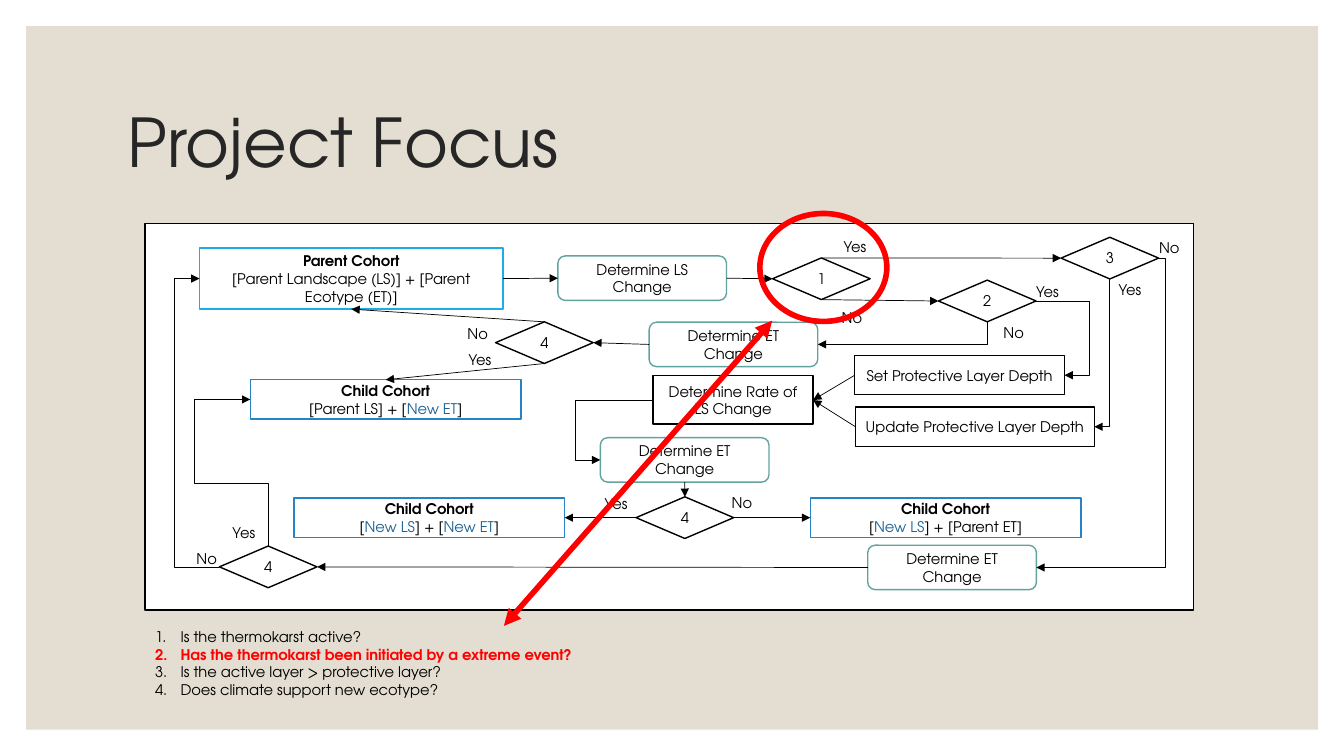
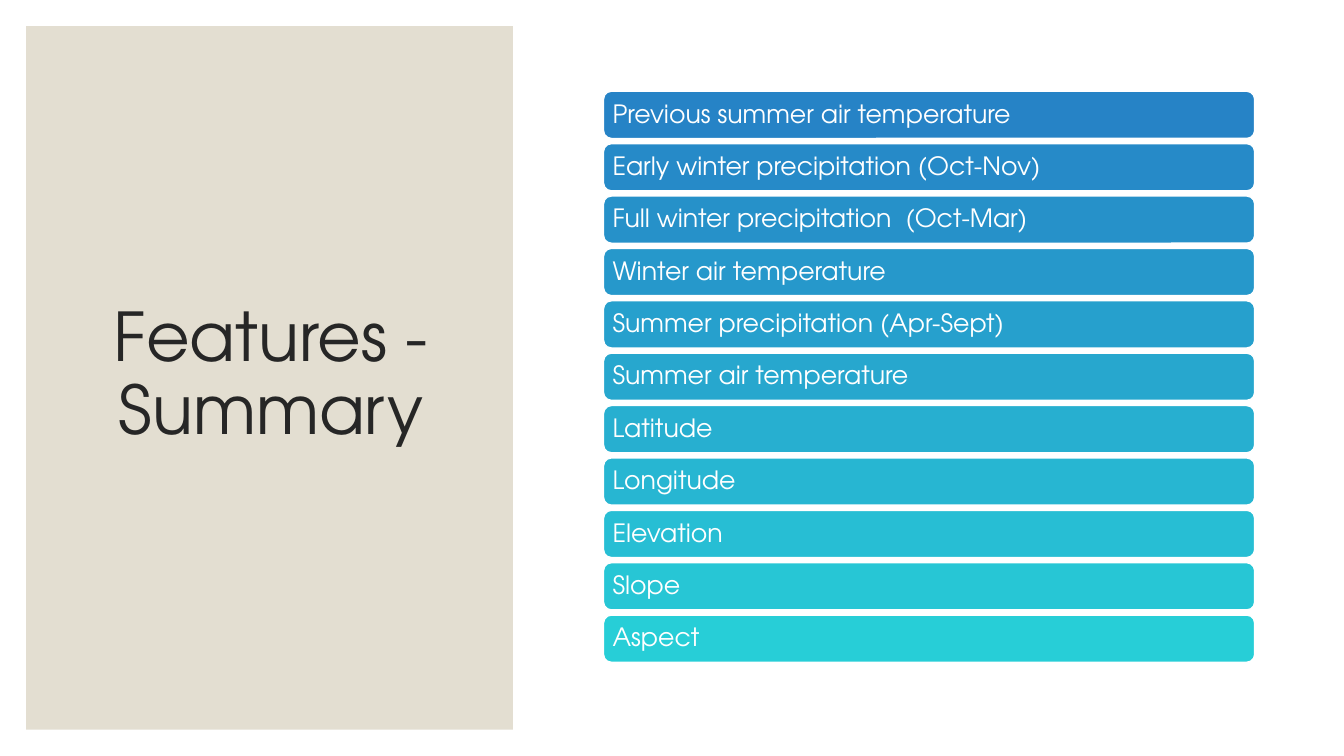
"""Build the project focus flowchart slide and the feature summary slide."""
from lxml.etree import SubElement
from pptx import Presentation
from pptx.dml.color import RGBColor
from pptx.enum.shapes import MSO_CONNECTOR as Link, MSO_SHAPE as Shape
from pptx.enum.text import MSO_ANCHOR as Anchor, PP_ALIGN as Align
from pptx.oxml.ns import qn
from pptx.util import Cm, Pt

FONT = "TeX Gyre Adventor"
BLACK, WHITE, RED = "000000", "FFFFFF", "FF0000"
SAND, TITLE, TEAL = "E3DED1", "262626", "62A39F"
SKY, BLUE, NEW = "1CADE4", "2683C6", "1D6294"
rgb = RGBColor.from_string


def add_box(page, kind, at, paragraphs=(), fill=None, line=None, weight=1, size=10.5,
            align=Align.CENTER, anchor=Anchor.MIDDLE, spacing=None):
    """Add a shape, or a text box when kind is None, with text given as runs."""
    place = [Cm(value) for value in at]
    if kind is None:
        box = page.shapes.add_textbox(*place)
    else:
        box = page.shapes.add_shape(kind, *place)
        box.shadow.inherit = False
        if fill:
            box.fill.solid()
            box.fill.fore_color.rgb = rgb(fill)
        else:
            box.fill.background()
        if line:
            box.line.color.rgb = rgb(line)
            box.line.width = Pt(weight)
        else:
            box.line.fill.background()
    frame = box.text_frame
    frame.word_wrap = True
    frame.vertical_anchor = anchor
    for index, spans in enumerate(paragraphs):
        para = frame.add_paragraph() if index else frame.paragraphs[0]
        para.alignment = align
        if spacing:
            para.line_spacing = spacing
        for text, color, bold in spans:
            span = para.add_run()
            span.text = text
            span.font.name = FONT
            span.font.size = Pt(size)
            span.font.bold = bold
            span.font.color.rgb = rgb(color)
    return box


def style_arrow(arrow, color, weight, ends):
    """Set the line, the arrowheads and the empty effect list of a connector."""
    arrow.line.color.rgb = rgb(color)
    arrow.line.width = Pt(weight)
    for end in ends:
        SubElement(arrow.line._get_or_add_ln(), qn(f"a:{end}"), type="triangle")
    SubElement(arrow._element.spPr, qn("a:effectLst"))


deck = Presentation()
deck.slide_width, deck.slide_height = Cm(33.87), Cm(19.05)
pages = []
for title, panel_width, place, align in [
    ("Project Focus", 32.56, (2.97, 1.78, 27.94, 3.81), Align.LEFT),
    ("Features - Summary", 12.27, (1.6, 1.55, 10.46, 15.85), Align.CENTER),
]:
    page = deck.slides.add_slide(deck.slide_layouts[6])
    add_box(page, Shape.RECTANGLE, (0.66, 0.66, panel_width, 17.73), fill=SAND)
    add_box(page, None, place, [[(title, TITLE, False)]], size=48, align=align, spacing=0.9)
    pages.append(page)
focus, features = pages

add_box(focus, Shape.RECTANGLE, (3.66, 5.64, 26.42, 9.73), fill=WHITE, line=BLACK)
nodes = {}
for name, heading, place, color, spans in [
    ("parent", "Parent Cohort", (5.03, 6.25, 7.65, 1.54), SKY,
     [("[Parent Landscape (LS)] + [Parent Ecotype (ET)]", BLACK)]),
    ("child new ET", "Child Cohort", (6.31, 9.57, 6.82, 0.99), BLUE,
     [("[Parent LS] + [", BLACK), ("New ET", NEW), ("]", BLACK)]),
    ("child new LS", "Child Cohort", (20.42, 12.55, 6.82, 0.99), BLUE,
     [("[", BLACK), ("New LS", NEW), ("] + [Parent ET]", BLACK)]),
    ("child new both", "Child Cohort", (7.41, 12.55, 6.82, 0.99), BLUE,
     [("[", BLACK), ("New LS", NEW), ("] + [", BLACK), ("New ET", NEW), ("]", BLACK)]),
]:
    paragraphs = [[(heading, BLACK, True)], [(text, tint, False) for text, tint in spans]]
    nodes[name] = add_box(focus, Shape.RECTANGLE, place, paragraphs, WHITE, color)

step, action, decision = (4.25, 1.12), (5.29, 0.99), (2.46, 1.05)
for name, text, kind, corner, extent, color in [
    ("LS change", "Determine LS Change", Shape.ROUNDED_RECTANGLE, (14.06, 6.45), step, TEAL),
    ("ET upper", "Determine ET Change", Shape.ROUNDED_RECTANGLE, (16.36, 8.12), step, TEAL),
    ("ET middle", "Determine ET Change", Shape.ROUNDED_RECTANGLE, (15.13, 11.03), step, TEAL),
    ("ET lower", "Determine ET Change", Shape.ROUNDED_RECTANGLE, (21.87, 13.74), step, TEAL),
    ("set depth", "Set Protective Layer Depth", Shape.RECTANGLE, (21.54, 8.96), action, BLACK),
    ("update depth", "Update Protective Layer Depth", Shape.RECTANGLE,
     (21.56, 10.26), (6.02, 0.99), BLACK),
    ("rate", "Determine Rate of LS Change", Shape.RECTANGLE, (16.46, 9.47), (4.03, 1.22), BLACK),
    ("active", "1", Shape.DIAMOND, (19.47, 6.5), decision, BLACK),
    ("event", "2", Shape.DIAMOND, (23.65, 7.06), decision, BLACK),
    ("layer", "3", Shape.DIAMOND, (26.74, 5.98), decision, BLACK),
    ("climate upper", "4", Shape.DIAMOND, (12.49, 8.11), decision, BLACK),
    ("climate middle", "4", Shape.DIAMOND, (16.03, 12.52), decision, BLACK),
    ("climate lower", "4", Shape.DIAMOND, (5.53, 13.76), decision, BLACK),
]:
    nodes[name] = add_box(focus, kind, corner + extent, [[(text, BLACK, False)]], WHITE, color)

TOP, LEFT, BOTTOM, RIGHT = range(4)
for start, start_side, end, end_side in [
    ("parent", RIGHT, "LS change", LEFT),
    ("LS change", RIGHT, "active", LEFT),
    ("active", TOP, "layer", LEFT),
    ("active", BOTTOM, "event", LEFT),
    ("climate upper", TOP, "parent", BOTTOM),
    ("climate upper", BOTTOM, "child new ET", TOP),
    ("ET upper", LEFT, "climate upper", RIGHT),
    ("ET lower", LEFT, "climate lower", RIGHT),
    ("climate middle", RIGHT, "child new LS", LEFT),
    ("climate middle", LEFT, "child new both", RIGHT),
    ("ET middle", BOTTOM, "climate middle", TOP),
    ("set depth", LEFT, "rate", RIGHT),
    ("update depth", LEFT, "rate", RIGHT),
]:
    arrow = focus.shapes.add_connector(Link.STRAIGHT, 0, 0, 0, 0)
    arrow.begin_connect(nodes[start], start_side)
    arrow.end_connect(nodes[end], end_side)
    style_arrow(arrow, BLACK, 0.5, ["tailEnd"])

for start, start_side, end, end_side, bends, turns, tip in [
    ("layer", RIGHT, "ET lower", RIGHT, 3, [29.36], "tailEnd"),
    ("update depth", RIGHT, "layer", BOTTOM, 2, [], "headEnd"),
    ("event", RIGHT, "set depth", RIGHT, 3, [27.46], "tailEnd"),
    ("ET upper", RIGHT, "event", BOTTOM, 2, [], "headEnd"),
    ("climate lower", LEFT, "parent", LEFT, 3, [4.39], "tailEnd"),
    ("child new ET", LEFT, "climate lower", TOP, 4, [4.91, 12.17], "headEnd"),
    ("rate", LEFT, "ET middle", LEFT, 3, [14.5], "tailEnd"),
]:
    arrow = focus.shapes.add_connector(Link.ELBOW, 0, 0, 0, 0)
    arrow.begin_connect(nodes[start], start_side)
    arrow.end_connect(nodes[end], end_side)
    style_arrow(arrow, BLACK, 0.5, [tip])
    geometry = arrow._element.spPr.find(qn("a:prstGeom"))
    geometry.set("prst", f"bentConnector{bends}")
    spans = [(arrow.begin_x, arrow.end_x), (arrow.begin_y, arrow.end_y)]
    for number, (turn, (begin, finish)) in enumerate(zip(turns, spans), 1):
        ratio = round((Cm(turn) - begin) / (finish - begin) * 100000)
        SubElement(geometry.find(qn("a:avLst")), qn("a:gd"),
                   name=f"adj{number}", fmla=f"val {ratio}")

for answer, corners in {
    "Yes": [(21.01, 5.87), (25.86, 7.01), (14.99, 12.34), (5.61, 13.08), (11.56, 8.71),
            (27.94, 6.96)],
    "No": [(11.53, 8.05), (20.96, 7.65), (25.04, 8.03), (28.96, 5.89), (18.19, 12.32),
           (4.7, 13.74)],
}.items():
    for corner in corners:
        add_box(focus, None, corner + (1.35, 0.71), [[(answer, BLACK, False)]],
                align=Align.LEFT, anchor=Anchor.TOP)

questions = add_box(focus, None, (3.66, 15.7, 11.28, 2.06), [
    [("Is the thermokarst active?", BLACK, False)],
    [("Has the thermokarst been initiated by a extreme event?", RED, True)],
    [("Is the active layer > protective layer?", BLACK, False)],
    [("Does climate support new ecotype?", BLACK, False)],
], align=Align.LEFT, anchor=Anchor.TOP)
for para in questions.text_frame.paragraphs:
    properties = para._p.get_or_add_pPr()
    properties.set("marL", str(Cm(0.64)))
    properties.set("indent", str(-Cm(0.64)))
    SubElement(properties, qn("a:buFont"), typeface="+mj-lt")
    SubElement(properties, qn("a:buAutoNum"), type="arabicPeriod")

add_box(focus, Shape.OVAL, (19.15, 5.38, 3.2, 2.72), line=RED, weight=4)
pointer = focus.shapes.add_connector(Link.STRAIGHT, Cm(19.46), Cm(8.08), Cm(12.7), Cm(15.77))
style_arrow(pointer, RED, 4, ["headEnd", "tailEnd"])

for row, (feature, color) in enumerate([
    ("Previous summer air temperature", "2683C6"),
    ("Early winter precipitation (Oct-Nov)", "268AC8"),
    ("Full winter precipitation  (Oct-Mar)", "2691C9"),
    ("Winter air temperature", "2698CB"),
    ("Summer precipitation (Apr-Sept)", "26A0CD"),
    ("Summer air temperature", "27A7CE"),
    ("Latitude", "27AFD0"),
    ("Longitude", "27B6D2"),
    ("Elevation", "27BED4"),
    ("Slope", "27C6D5"),
    ("Aspect", "27CED7"),
]):
    bar = add_box(features, Shape.ROUNDED_RECTANGLE, (15.21, 2.3 + row * 1.32, 16.41, 1.19),
                  [[(feature, WHITE, False)]], color, WHITE, size=18, align=Align.LEFT,
                  spacing=0.9)
    bar.text_frame.margin_left = Cm(0.17)

deck.save("out.pptx")
